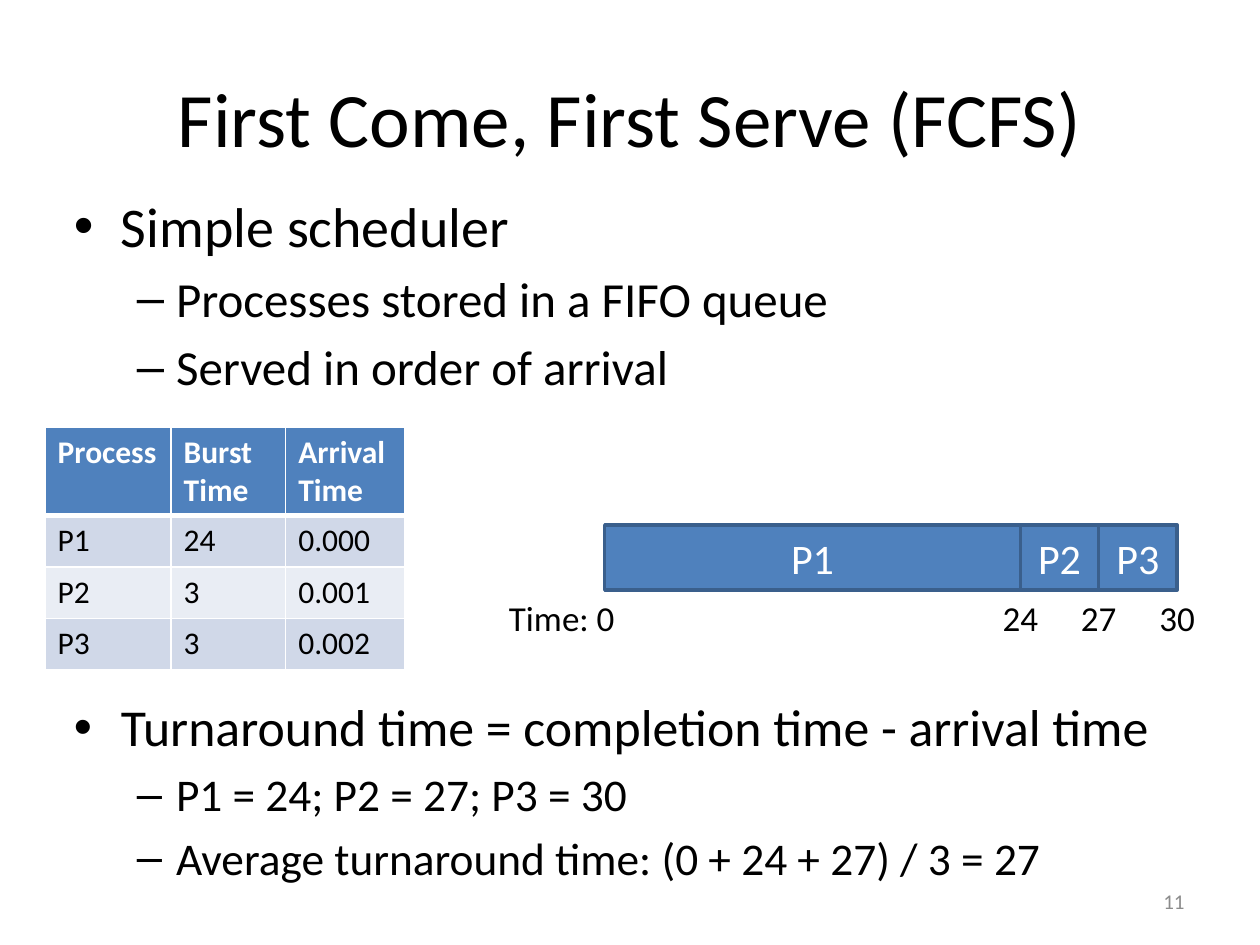
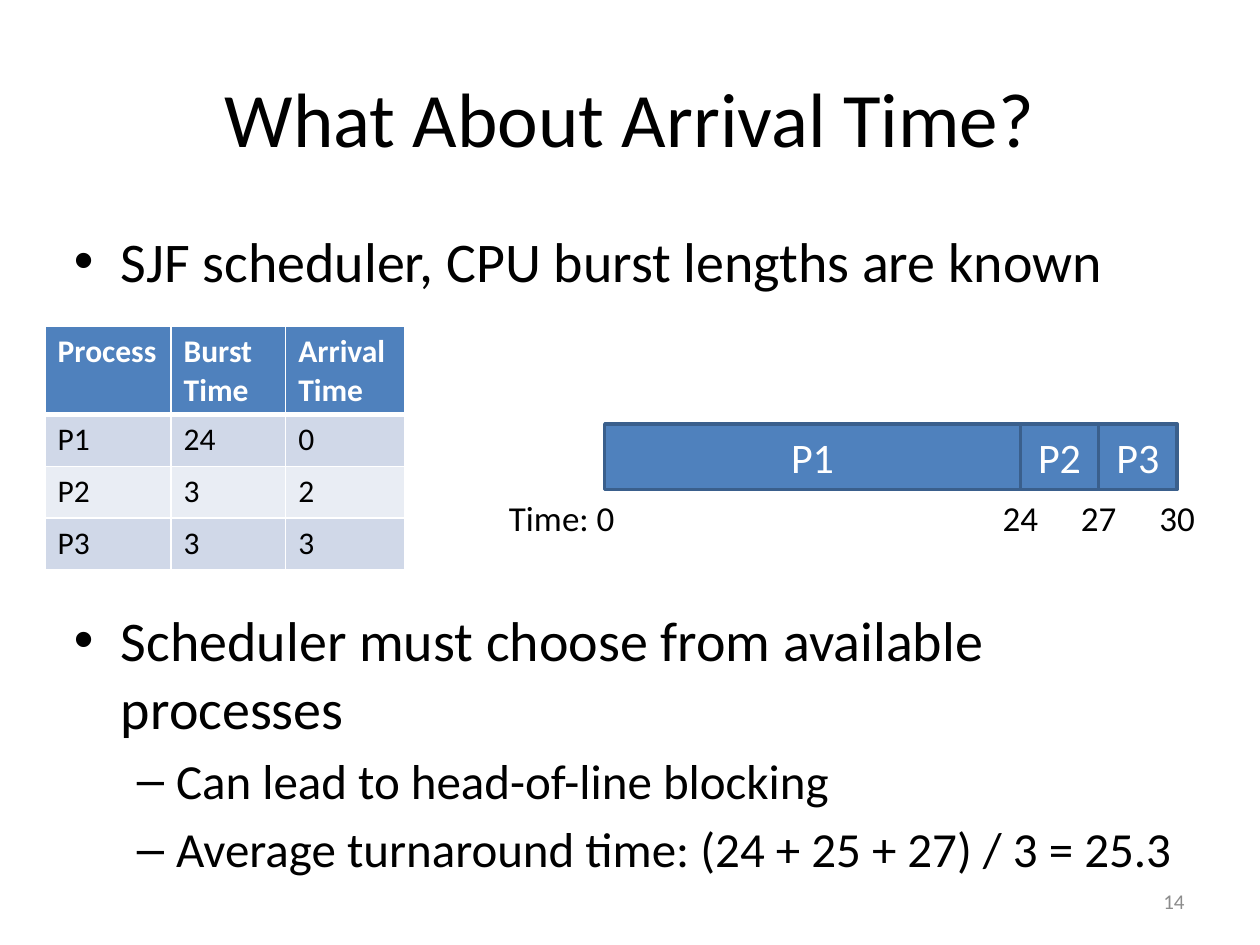
from lxml.etree import SubElement
from pptx import Presentation
from pptx.dml.color import RGBColor
from pptx.enum.shapes import MSO_SHAPE
from pptx.enum.text import MSO_ANCHOR, PP_ALIGN
from pptx.oxml.ns import qn
from pptx.util import Cm, Pt

FONT = "Calibri"
BLACK, WHITE, GREY = "000000", "FFFFFF", "8C8C8C"
BLUE, DARK_BLUE = "4F81BD", "3A5F8C"
BANDS = ["E9EDF4", "D0D8E8"]
BULLETS = [("•", 0.95, 0.95), ("–", 2.06, 0.79)]  # character, margin, hanging indent
color = RGBColor.from_string


def write(frame, text, size=18, ink=BLACK, bold=False, align=PP_ALIGN.LEFT,
          anchor=MSO_ANCHOR.TOP, wrap=True, level=None):
    """Fill the empty first paragraph or add one; a level makes it a bullet."""
    frame.word_wrap = wrap
    frame.vertical_anchor = anchor
    para = frame.add_paragraph() if frame.text else frame.paragraphs[0]
    para.alignment = align
    span = para.add_run()
    span.text = text
    span.font.name, span.font.size, span.font.bold = FONT, Pt(size), bold
    span.font.color.rgb = color(ink)
    if level is not None:
        character, margin, hanging = BULLETS[level]
        para.level = level
        properties = para._p.get_or_add_pPr()
        properties.set("marL", str(Cm(margin)))
        properties.set("indent", str(-Cm(hanging)))
        space = SubElement(properties, qn("a:spcBef"))
        SubElement(space, qn("a:spcPct"), val="20000")
        SubElement(properties, qn("a:buFont"), typeface="Arial")
        SubElement(properties, qn("a:buChar"), char=character)


def add_text_frame(page, left, top, width, height):
    return page.shapes.add_textbox(Cm(left), Cm(top), Cm(width), Cm(height)).text_frame


deck = Presentation()
deck.slide_width, deck.slide_height = Cm(25.4), Cm(19.05)

HEADINGS = ["Process", "Burst Time", "Arrival Time"]
COLUMN_WIDTHS = [2.54, 2.31, 2.39]
HEADER_HEIGHT, ROW_HEIGHT = 1.76, 1.04
# process, burst time, bar width, completion time
PROCESSES = [("P1", "24", 8.38, "24"), ("P2", "3", 1.58, "27"), ("P3", "3", 1.58, "30")]
TIMELINE_LEFT, BAR_HEIGHT = 12.19, 1.32
LABEL_WIDTH, LABEL_HEIGHT = 1.24, 1.12

# Bullet lists: left, top, width, height, then (level, size, text)
PAGES = [
    dict(
        title="First Come, First Serve (FCFS)", number="11", schedule_top=8.61,
        arrivals=["0.000", "0.001", "0.002"],
        lists=[
            ((1.24, 3.73, 22.86, 5), [
                (0, 32, "Simple scheduler"),
                (1, 28, "Processes stored in a FIFO queue"),
                (1, 28, "Served in order of arrival")]),
            ((1.24, 13.89, 23.8, 5.16), [
                (0, 29.6, "Turnaround time = completion time - arrival time"),
                (1, 25.9, "P1 = 24; P2 = 27; P3 = 30"),
                (1, 25.9, "Average turnaround time: (0 + 24 + 27) / 3 = 27")]),
        ]),
    dict(
        title="What About Arrival Time?", number="14", schedule_top=6.58,
        arrivals=["0", "2", "3"],
        lists=[
            ((1.24, 4.45, 22.86, 1.88), [
                (0, 32, "SJF scheduler, CPU burst lengths are known")]),
            ((1.24, 12.09, 22.86, 6.2), [
                (0, 32, "Scheduler must choose from available processes"),
                (1, 28, "Can lead to head-of-line blocking"),
                (1, 28, "Average turnaround time: (24 + 25 + 27) / 3 = 25.3")]),
        ]),
]

for content in PAGES:
    page = deck.slides.add_slide(deck.slide_layouts[6])
    write(add_text_frame(page, 1.27, 0.76, 22.86, 3.18), content["title"], size=44,
          align=PP_ALIGN.CENTER, anchor=MSO_ANCHOR.MIDDLE)
    write(add_text_frame(page, 18.2, 17.66, 5.93, 1.01), content["number"], size=12,
          ink=GREY, align=PP_ALIGN.RIGHT, anchor=MSO_ANCHOR.MIDDLE)
    for place, bullets in content["lists"]:
        frame = add_text_frame(page, *place)
        for level, size, text in bullets:
            write(frame, text, size=size, level=level)

    # Process table
    top = content["schedule_top"]
    rows = [HEADINGS] + [[process[0], process[1], arrival]
                         for process, arrival in zip(PROCESSES, content["arrivals"])]
    table = page.shapes.add_table(
        len(rows), len(HEADINGS), Cm(0.91), Cm(top), Cm(sum(COLUMN_WIDTHS)),
        Cm(HEADER_HEIGHT + ROW_HEIGHT * len(PROCESSES))).table
    for column, width in zip(table.columns, COLUMN_WIDTHS):
        column.width = Cm(width)
    for index, values in enumerate(rows):
        header = index == 0
        table.rows[index].height = Cm(HEADER_HEIGHT if header else ROW_HEIGHT)
        borders = {"L": 1, "R": 1, "T": 3 if index == 1 else 1, "B": 3 if header else 1}
        for cell, value in zip(table.rows[index].cells, values):
            write(cell.text_frame, value, ink=WHITE if header else BLACK, bold=header)
            properties = cell._tc.get_or_add_tcPr()
            for side, weight in borders.items():
                line = SubElement(properties, qn(f"a:ln{side}"), w=str(Pt(weight)))
                SubElement(SubElement(line, qn("a:solidFill")), qn("a:srgbClr"), val=WHITE)
            cell.fill.solid()
            cell.fill.fore_color.rgb = color(BLUE if header else BANDS[index % 2])

    # Timeline: each completion time is centred under the end of its bar
    bar_top, label_top = top + 1.97, top + 3.3
    write(add_text_frame(page, 10.01, label_top, 2.67, LABEL_HEIGHT), "Time: 0",
          size=20, wrap=False)
    edge = TIMELINE_LEFT
    for name, burst, width, completion in PROCESSES:
        bar = page.shapes.add_shape(MSO_SHAPE.RECTANGLE, Cm(edge), Cm(bar_top),
                                    Cm(width), Cm(BAR_HEIGHT))
        bar.shadow.inherit = False
        bar.fill.solid()
        bar.fill.fore_color.rgb = color(BLUE)
        bar.line.color.rgb = color(DARK_BLUE)
        bar.line.width = Pt(2)
        write(bar.text_frame, name, size=24, ink=WHITE, align=PP_ALIGN.CENTER,
              anchor=MSO_ANCHOR.MIDDLE)
        edge += width
        write(add_text_frame(page, edge - LABEL_WIDTH / 2, label_top, LABEL_WIDTH,
                             LABEL_HEIGHT),
              completion, size=20, align=PP_ALIGN.CENTER, wrap=False)

deck.save("out.pptx")
